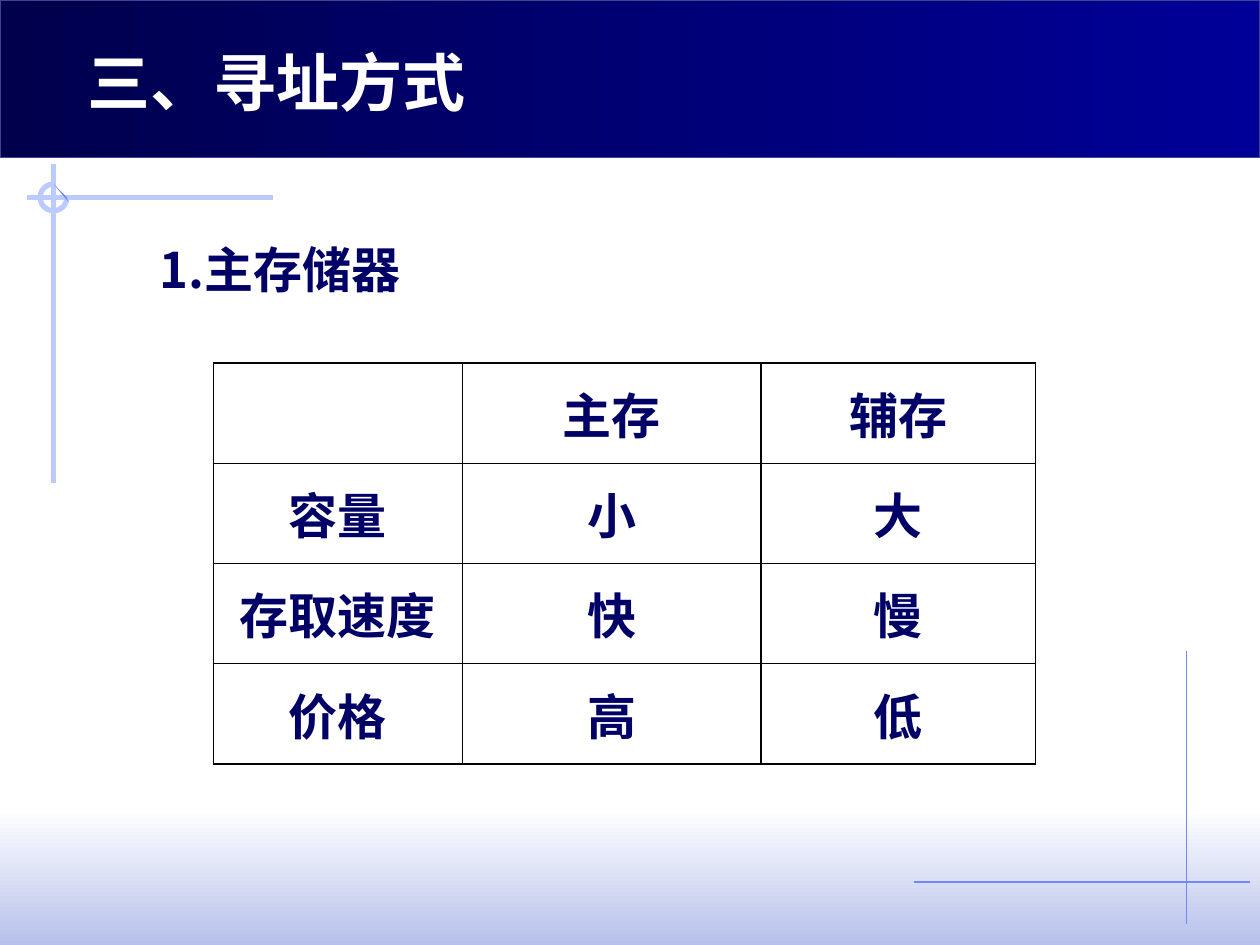
from dataclasses import dataclass

from lxml import etree
from pptx import Presentation
from pptx.dml.color import RGBColor
from pptx.enum.shapes import MSO_CONNECTOR, MSO_SHAPE
from pptx.enum.text import MSO_ANCHOR, PP_ALIGN
from pptx.oxml.ns import qn
from pptx.util import Cm, Pt

STRAIGHT = MSO_CONNECTOR.STRAIGHT
RECTANGLE = MSO_SHAPE.RECTANGLE
ARC = MSO_SHAPE.ARC
MIDDLE = MSO_ANCHOR.MIDDLE
CENTER = PP_ALIGN.CENTER

TITLE_FONT = "Noto Sans CJK JP"
BODY_FONT = "Noto Sans CJK SC"
NAVY = "000066"
WHITE = "FFFFFF"
PALE_BLUE = "BBCBFD"
MID_BLUE = "6F89F7"
BORDER = "080000"


@dataclass(frozen=True)
class Box:
    left: float
    top: float
    width: float
    height: float

    def lengths(self) -> tuple:
        return Cm(self.left), Cm(self.top), Cm(self.width), Cm(self.height)


@dataclass(frozen=True)
class Band:
    box: Box
    start: str
    end: str
    angle: int
    outline: str | None = None


@dataclass(frozen=True)
class Rule:
    x1: float
    y1: float
    x2: float
    y2: float
    color: str
    width: float


BANDS = [
    Band(Box(0, 16.31, 25.4, 2.74), WHITE, "B7C1EB", 270),
    Band(Box(0, 0, 25.4, 3.18), "00004D", "000099", 0, "40458C"),
]
RULES = [
    Rule(23.92, 13.13, 23.92, 18.62, MID_BLUE, 0.75),
    Rule(18.42, 17.78, 25.2, 17.78, MID_BLUE, 0.75),
    Rule(0.55, 3.98, 5.5, 3.98, PALE_BLUE, 3),
    Rule(1.08, 3.3, 1.08, 9.74, PALE_BLUE, 3),
]
RING = Box(0.81, 3.71, 0.54, 0.54)
SLIVER = [(1.35, 3.98), (1.37, 4.06), (1.08, 3.71)]
TABLE_BOX = Box(4.3, 7.32, 16.58, 8.08)
COLUMN_WIDTHS = [5.02, 6.02, 5.54]
TABLE_ROWS = [
    ["", "主存", "辅存"],
    ["容量", "小", "大"],
    ["存取速度", "快", "慢"],
    ["价格", "高", "低"],
]


def rgb(color: str) -> RGBColor:
    return RGBColor.from_string(color)


def draw_band(slide, band: Band) -> None:
    shape = slide.shapes.add_shape(RECTANGLE, *band.box.lengths())
    shape.shadow.inherit = False
    shape.fill.gradient()
    shape.fill.gradient_angle = band.angle
    for stop, color in zip(shape.fill.gradient_stops, (band.start, band.end)):
        stop.color.rgb = rgb(color)
    if band.outline:
        shape.line.color.rgb = rgb(band.outline)
        shape.line.width = Pt(0.75)
    else:
        shape.line.fill.background()


def draw_rule(slide, rule: Rule) -> None:
    connector = slide.shapes.add_connector(
        STRAIGHT, Cm(rule.x1), Cm(rule.y1), Cm(rule.x2), Cm(rule.y2)
    )
    connector.line.color.rgb = rgb(rule.color)
    connector.line.width = Pt(rule.width)
    properties = connector._element.spPr
    etree.SubElement(properties, qn("a:effectLst"))


def draw_ring(slide) -> None:
    ring = slide.shapes.add_shape(ARC, *RING.lengths())
    ring.shadow.inherit = False
    ring.adjustments[0] = 0
    ring.adjustments[1] = 162
    ring.fill.background()
    ring.line.color.rgb = rgb(PALE_BLUE)
    ring.line.width = Pt(3)

    points = [(Cm(x), Cm(y)) for x, y in SLIVER]
    builder = slide.shapes.build_freeform(*points[0])
    builder.add_line_segments(points[1:], close=True)
    sliver = builder.convert_to_shape()
    sliver.shadow.inherit = False
    sliver.fill.solid()
    sliver.fill.fore_color.rgb = rgb(MID_BLUE)
    sliver.line.fill.background()


def add_run(paragraph, text: str, size: float, font: str, color: str) -> None:
    run = paragraph.add_run()
    run.text = text
    run.font.size = Pt(size)
    run.font.bold = True
    run.font.name = font
    run.font.color.rgb = rgb(color)
    east_asian = etree.SubElement(run.font._element, qn("a:ea"))
    east_asian.set("typeface", font)


def add_text(slide, box: Box, text: str, size: float, font: str, color: str):
    shape = slide.shapes.add_textbox(*box.lengths())
    shape.text_frame.word_wrap = True
    add_run(shape.text_frame.paragraphs[0], text, size, font, color)
    return shape.text_frame


def set_borders(cell) -> None:
    properties = cell._tc.get_or_add_tcPr()
    for position, side in enumerate(("a:lnL", "a:lnR", "a:lnT", "a:lnB")):
        line = etree.Element(qn(side), w=str(Pt(1)))
        fill = etree.SubElement(line, qn("a:solidFill"))
        etree.SubElement(fill, qn("a:srgbClr"), val=BORDER)
        properties.insert(position, line)


def draw_table(slide) -> None:
    frame = slide.shapes.add_table(
        len(TABLE_ROWS), len(COLUMN_WIDTHS), *TABLE_BOX.lengths()
    )
    table = frame.table
    table.first_row = False
    table.horz_banding = False
    for column, width in zip(table.columns, COLUMN_WIDTHS):
        column.width = Cm(width)
    for row, texts in zip(table.rows, TABLE_ROWS):
        row.height = Cm(TABLE_BOX.height / len(TABLE_ROWS))
        for cell, text in zip(row.cells, texts):
            cell.fill.background()
            set_borders(cell)
            cell.vertical_anchor = MIDDLE
            cell.margin_left = cell.margin_right = Cm(0.18)
            cell.margin_top = cell.margin_bottom = Cm(0)
            if text:
                paragraph = cell.text_frame.paragraphs[0]
                paragraph.alignment = CENTER
                add_run(paragraph, text, 28, BODY_FONT, NAVY)


def main() -> None:
    presentation = Presentation()
    presentation.slide_width = Cm(25.4)
    presentation.slide_height = Cm(19.05)
    slide = presentation.slides.add_slide(presentation.slide_layouts[6])

    for band in BANDS:
        draw_band(slide, band)
    for rule in RULES:
        draw_rule(slide, rule)
    draw_ring(slide)

    title = add_text(
        slide, Box(1.52, 0.74, 20.62, 1.8), "三、寻址方式", 36, TITLE_FONT, WHITE
    )
    title.vertical_anchor = MIDDLE
    heading = add_text(
        slide, Box(1.7, 4.11, 21.21, 2.18), "1.主存储器", 28, BODY_FONT, NAVY
    )
    paragraph = heading.paragraphs[0]
    paragraph.line_spacing = 1.5
    paragraph._p.get_or_add_pPr().set("indent", str(Cm(1.27)))
    draw_table(slide)

    presentation.save("out.pptx")


if __name__ == "__main__":
    main()
